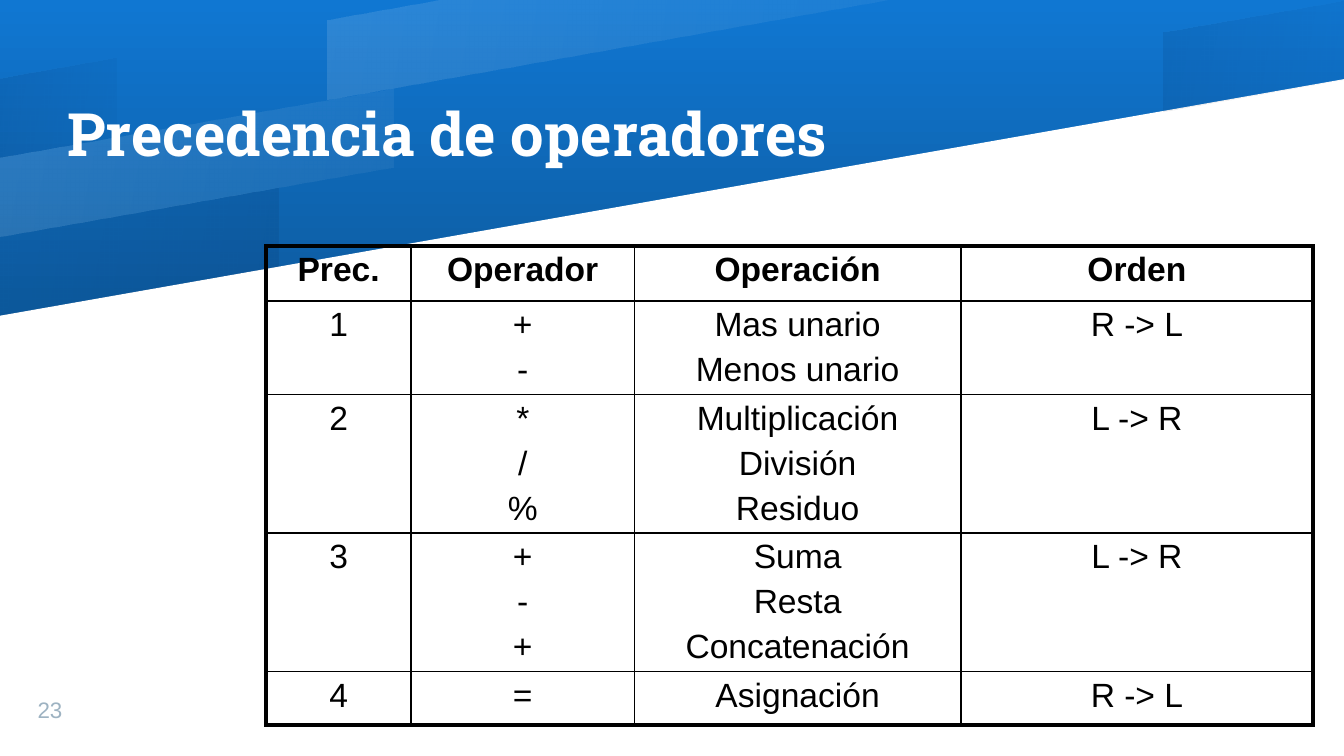
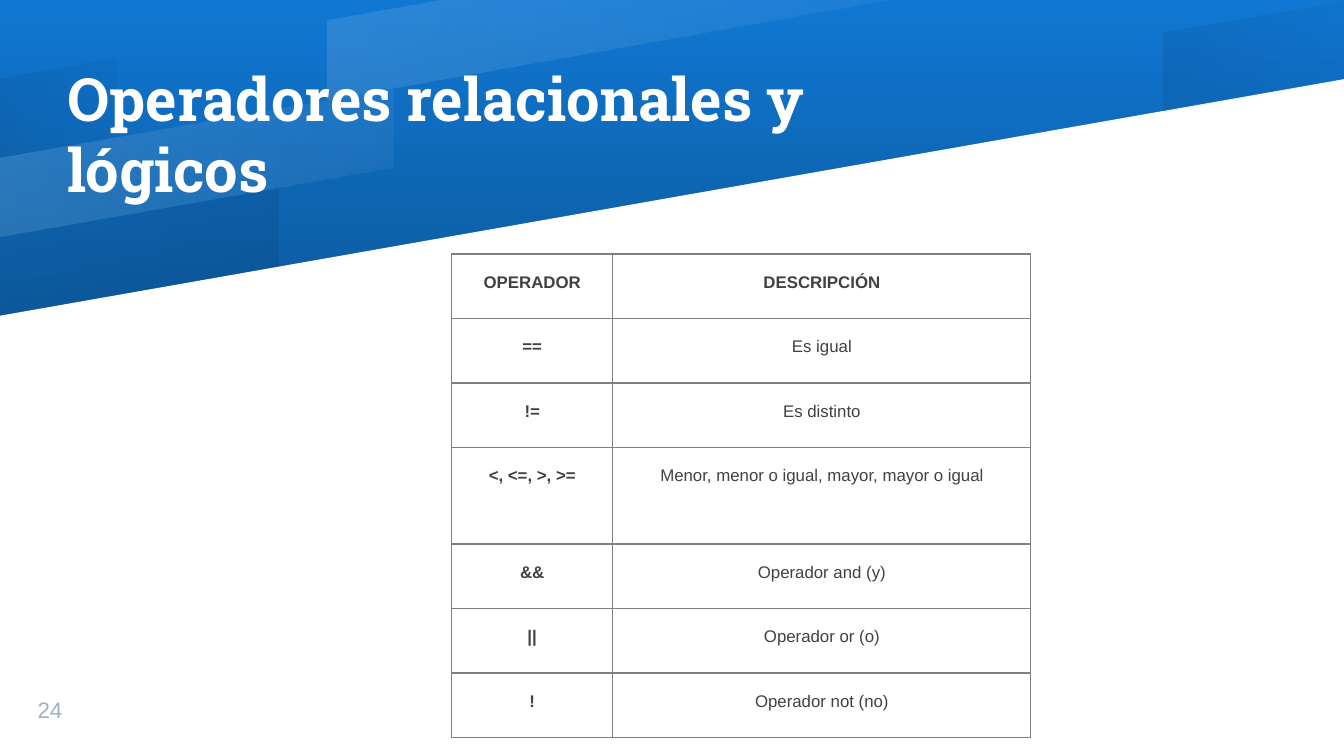
from dataclasses import dataclass

from lxml import etree
from pptx import Presentation
from pptx.dml.color import RGBColor
from pptx.enum.text import MSO_ANCHOR, MSO_AUTO_SIZE, PP_ALIGN
from pptx.oxml.ns import qn
from pptx.util import Inches, Pt

LEFT, CENTER = PP_ALIGN.LEFT, PP_ALIGN.CENTER
TOP, MIDDLE, BOTTOM = MSO_ANCHOR.TOP, MSO_ANCHOR.MIDDLE, MSO_ANCHOR.BOTTOM
NO_AUTOFIT = MSO_AUTO_SIZE.NONE

WIDTH, HEIGHT = Inches(10), Inches(5.625)
TITLE_ONLY = 5


@dataclass(frozen=True)
class Theme:
    sky: str = "1077D2"
    navy: str = "093153"
    white: str = "FFFFFF"
    shade: str = "00001A"
    number: str = "9EB3C2"
    black: str = "000000"
    gray: str = "808080"
    ink: str = "41423D"
    title_font: str = "Roboto Slab"
    body_font: str = "Arial"
    title_size: float = 32
    large_size: float = 18
    number_size: float = 12
    small_size: float = 9


@dataclass(frozen=True)
class TableStyle:
    size: float
    color: str
    line: str
    inner: float
    outer: float
    margins: tuple
    fill: str = ""
    space_before: float = 0
    line_spacing: float = 1.0
    bold_first_column: bool = False


THEME = Theme()

PRECEDENCE_STYLE = TableStyle(THEME.large_size, THEME.black, THEME.black, 1, 2.25,
                              (0.08, 0.04), space_before=4)
OPERATOR_STYLE = TableStyle(THEME.small_size, THEME.ink, THEME.gray, 0.75, 0.75,
                            (0.1, 0.1), fill=THEME.white, line_spacing=1.3,
                            bold_first_column=True)

# Grid of 100 columns by 100 rows over the slide.
TITLE_BOX = (5, 0, 60, 35.2)
NUMBER_BOX = (2.8, 90.84, 5.3, 4.8)
SLOPE = 0.313
BAND_HEIGHT = 10.47
PANEL_TOP = 41.78

BANDS = [
    (24.4, 100, 2.67, THEME.white, 12, 5),
    (0, 8.7, 10.4, THEME.shade, 8, 2),
    (0, 20.7, 31.3, THEME.shade, 2, 8),
    (86.6, 100, 4.27, THEME.shade, 8, 2),
    (0, 29.3, 20.85, THEME.white, 12, 5),
]

PRECEDENCE_ROWS = [
    ("Prec.", "Operador", "Operación", "Orden"),
    ("1", "+\n-", "Mas unario\nMenos unario", "R -> L"),
    ("2", "*\n/\n%", "Multiplicación\nDivisión\nResiduo", "L -> R"),
    ("3", "+\n-\n+", "Suma\nResta\nConcatenación", "L -> R"),
    ("4", "=", "Asignación", "R -> L"),
]
OPERATOR_ROWS = [
    ("OPERADOR", "DESCRIPCIÓN"),
    ("==", "Es igual"),
    ("!=", "Es distinto"),
    ("<, <=, >, >=", "Menor, menor o igual, mayor, mayor o igual"),
    ("&&", "Operador and (y)"),
    ("||", "Operador or (o)"),
    ("!", "Operador not (no)"),
]


def across(columns):
    return round(WIDTH * columns / 100)


def down(rows):
    return round(HEIGHT * rows / 100)


def place(box):
    left, top, width, height = box
    return across(left), down(top), across(width), down(height)


def set_gradient(fill, colors, angle):
    fill.gradient()
    fill.gradient_angle = 360 - angle
    for stop, color, position in zip(fill.gradient_stops, colors, (0, 1)):
        stop.color.rgb = RGBColor.from_string(color)
        stop.position = position


def add_run(paragraph, text, font_name, size, color, bold=False):
    run = paragraph.add_run()
    run.text = text
    run.font.name = font_name
    run.font.size = Pt(size)
    run.font.bold = bold
    run.font.color.rgb = RGBColor.from_string(color)
    return run


def set_frame(frame, anchor):
    frame.word_wrap = True
    frame.auto_size = NO_AUTOFIT
    frame.vertical_anchor = anchor
    frame.margin_left = frame.margin_right = 0
    frame.margin_top = frame.margin_bottom = 0


def add_polygon(slide, points):
    corners = [(across(x), down(y)) for x, y in points]
    builder = slide.shapes.build_freeform(*corners[0])
    builder.add_line_segments(corners[1:], close=True)
    shape = builder.convert_to_shape()
    shape.shadow.inherit = False
    shape.line.fill.background()
    return shape


def add_panel(slide):
    right_top = PANEL_TOP - 100 * SLOPE
    panel = add_polygon(slide, [(0, 100), (100, 100), (100, right_top), (0, PANEL_TOP)])
    panel.fill.solid()
    panel.fill.fore_color.rgb = RGBColor.from_string(THEME.white)
    return panel


def add_band(slide, left, right, top, color, *opacities):
    def right_end(start):
        x = min(right, left + start / SLOPE)
        return x, max(0, start - SLOPE * (x - left))

    bottom = top + BAND_HEIGHT
    band = add_polygon(slide, [(left, top), (left, bottom), right_end(bottom), right_end(top)])
    set_gradient(band.fill, (color, color), 10)
    stops = band.element.spPr.iter(qn("a:srgbClr"))
    for stop_color, opacity in zip(stops, opacities):
        etree.SubElement(stop_color, qn("a:alpha"), val=str(opacity * 1000))
    return band


def decorate_layout(layout, slide):
    set_gradient(layout.background.fill, (THEME.sky, THEME.navy), 90)
    shapes = [add_panel(slide)] + [add_band(slide, *band) for band in BANDS]
    tree = layout.element.cSld.spTree
    for index, shape in enumerate(shapes, start=2):
        tree.insert(index, shape.element)


def add_title_shadow(run):
    properties = run.font.color and run._r.get_or_add_rPr()
    effects = etree.Element(qn("a:effectLst"))
    shadow = etree.SubElement(effects, qn("a:outerShdw"), blurRad="57150",
                              dist="28575", dir="2700000")
    color = etree.SubElement(shadow, qn("a:srgbClr"), val=THEME.shade)
    etree.SubElement(color, qn("a:alpha"), val="40000")
    properties.find(qn("a:solidFill")).addnext(effects)


def fill_title(slide, text, box):
    title = slide.shapes.title
    title.left, title.top, title.width, title.height = place(box)
    set_frame(title.text_frame, MIDDLE)
    paragraph = title.text_frame.paragraphs[0]
    paragraph.alignment = LEFT
    run = add_run(paragraph, text, THEME.title_font, THEME.title_size, THEME.white, True)
    add_title_shadow(run)


def add_number(slide, number, box):
    text_box = slide.shapes.add_textbox(*place(box))
    set_frame(text_box.text_frame, BOTTOM)
    add_run(text_box.text_frame.paragraphs[0], str(number), THEME.body_font,
            THEME.number_size, THEME.number)


def set_borders(cell, color, widths):
    properties = cell._tc.get_or_add_tcPr()
    for index, (side, width) in enumerate(zip("LRTB", widths)):
        line = etree.Element(qn(f"a:ln{side}"), w=str(Pt(width)))
        solid = etree.SubElement(line, qn("a:solidFill"))
        etree.SubElement(solid, qn("a:srgbClr"), val=color)
        properties.insert(index, line)


def fill_cell(cell, text, style, bold):
    cell.margin_left = cell.margin_right = Inches(style.margins[0])
    cell.margin_top = cell.margin_bottom = Inches(style.margins[1])
    cell.vertical_anchor = TOP
    if style.fill:
        cell.fill.solid()
        cell.fill.fore_color.rgb = RGBColor.from_string(style.fill)
    else:
        cell.fill.background()
    frame = cell.text_frame
    for index, line in enumerate(text.split("\n")):
        paragraph = frame.add_paragraph() if index else frame.paragraphs[0]
        paragraph.alignment = CENTER
        paragraph.line_spacing = style.line_spacing
        paragraph.space_before = Pt(style.space_before if index else 0)
        add_run(paragraph, line, THEME.body_font, style.size, style.color, bold)


def add_grid(slide, origin, widths, heights, rows, style):
    box = (*origin, sum(widths), sum(heights))
    table = slide.shapes.add_table(len(rows), len(widths), *place(box)).table
    table.first_row = table.horz_banding = False
    for column, width in zip(table.columns, widths):
        column.width = across(width)
    for row, height in zip(table.rows, heights):
        row.height = down(height)
    last_row, last_column = len(rows) - 1, len(widths) - 1
    for i, texts in enumerate(rows):
        for j, text in enumerate(texts):
            cell = table.cell(i, j)
            bold = i == 0 or (style.bold_first_column and j == 0)
            fill_cell(cell, text, style, bold)
            edges = (j == 0, j == last_column, i == 0, i == last_row)
            set_borders(cell, style.line,
                        [style.outer if edge else style.inner for edge in edges])


def fill_slide(slide, title, number, *grid):
    fill_title(slide, title, TITLE_BOX)
    add_number(slide, number, NUMBER_BOX)
    add_grid(slide, *grid)


def main():
    presentation = Presentation()
    presentation.slide_width, presentation.slide_height = WIDTH, HEIGHT
    layout = presentation.slide_layouts[TITLE_ONLY]
    precedence = presentation.slides.add_slide(layout)
    decorate_layout(layout, precedence)
    fill_slide(precedence, "Precedencia de operadores", 23, (19.8, 32.53),
               (10.8, 16.6, 24.3, 26.2), (7.29, 12.09, 18.13, 18.13, 7.11),
               PRECEDENCE_ROWS, PRECEDENCE_STYLE)
    operators = presentation.slides.add_slide(layout)
    fill_slide(operators, "Operadores relacionales y lógicos", 24, (33.6, 33.6),
               (12, 31.1), [8.53] * 3 + [12.8] + [8.53] * 3,
               OPERATOR_ROWS, OPERATOR_STYLE)
    presentation.save("out.pptx")


if __name__ == "__main__":
    main()
